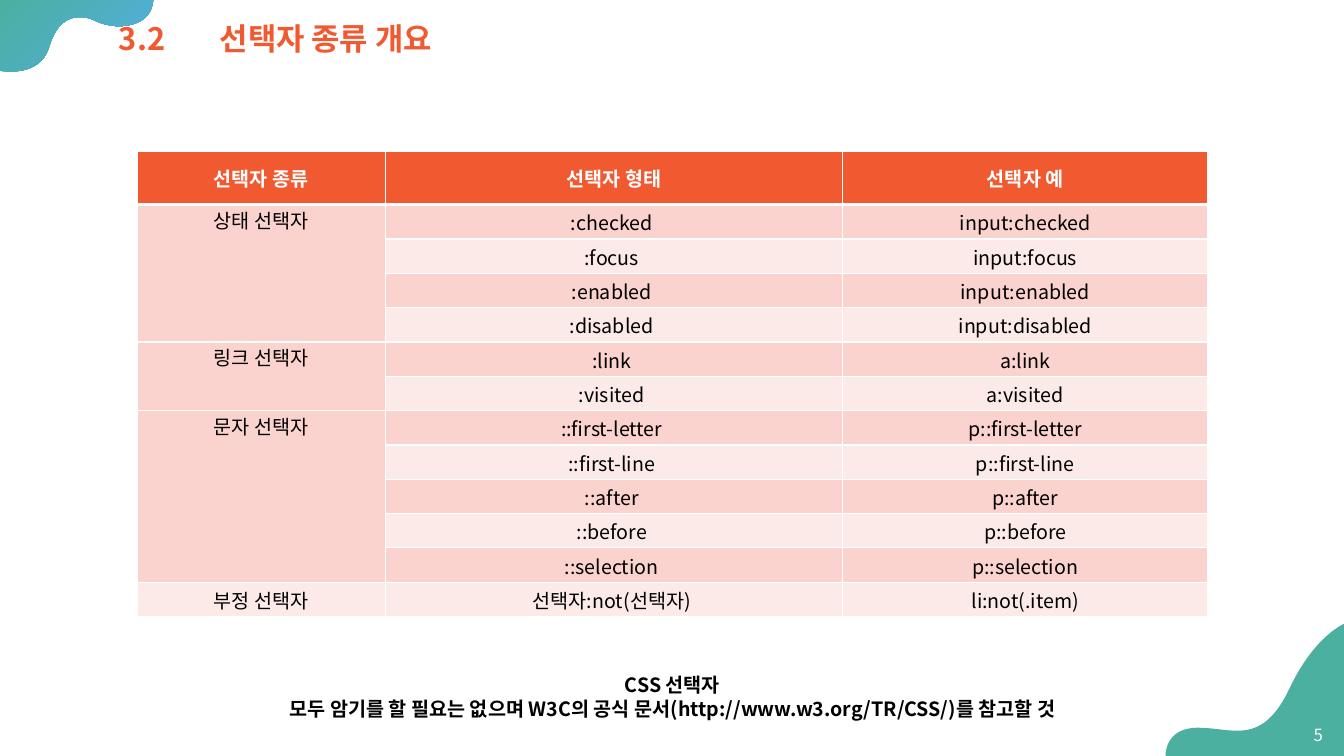
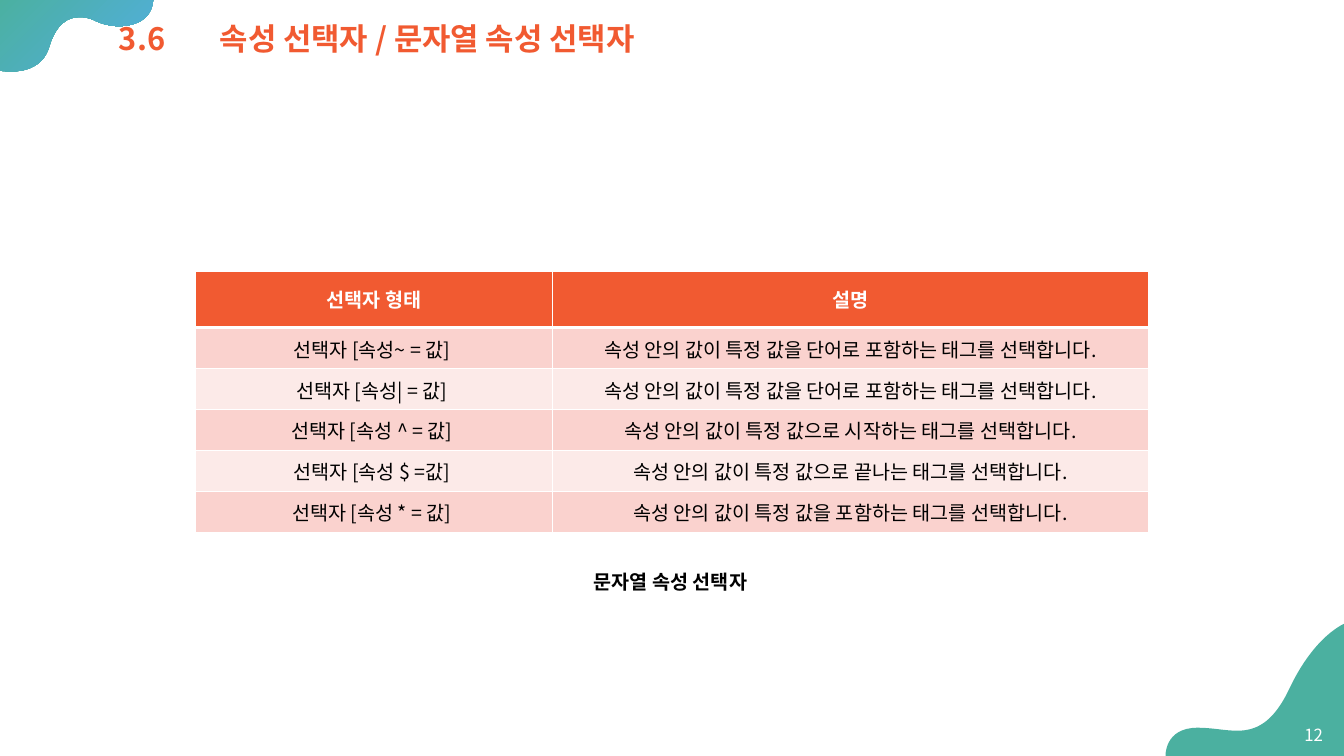
from lxml import etree
from pptx import Presentation
from pptx.dml.color import RGBColor
from pptx.enum.text import MSO_ANCHOR, MSO_AUTO_SIZE, PP_ALIGN
from pptx.oxml.ns import qn
from pptx.util import Inches, Pt

LEFT, CENTER, RIGHT = PP_ALIGN.LEFT, PP_ALIGN.CENTER, PP_ALIGN.RIGHT
TOP, MIDDLE = MSO_ANCHOR.TOP, MSO_ANCHOR.MIDDLE
NO_AUTOFIT = MSO_AUTO_SIZE.NONE

FONT = "Noto Sans CJK KR"
ORANGE, TEAL, BLUE = "F15A31", "4BB0A0", "52AEE1"
WHITE, BLACK = "FFFFFF", "000000"
BANDS = ("FAD2CE", "FCEAE8")
THIN, THICK = 1, 3

TITLE_BOX = (1.08, 0.19, 12.25, 0.43)
TITLE_TAB = 1
NUMBER_BOX = (12.78, 7.09, 0.44, 0.4)

# Each wave: start point, then line (2 numbers) or cubic curve (6 numbers) steps.
TOP_WAVE = [
    (1.52, -0.02), (-0.01, -0.02), (-0.01, 0.7),
    (-0.01, 0.7, 0.04, 0.71, 0.11, 0.71),
    (0.24, 0.71, 0.43, 0.67, 0.49, 0.46),
    (0.56, 0.23, 0.68, 0.17, 0.79, 0.17),
    (0.84, 0.17, 0.89, 0.18, 0.93, 0.2),
    (1.01, 0.24, 1.1, 0.26, 1.18, 0.26),
    (1.37, 0.26, 1.52, 0.17, 1.52, -0.02),
]
BOTTOM_WAVE = [
    (13.35, 6.18),
    (13.35, 6.18, 13.04, 6.29, 12.78, 6.85),
    (12.62, 7.18, 12.45, 7.25, 12.27, 7.25),
    (12.15, 7.25, 12.02, 7.22, 11.88, 7.22),
    (11.54, 7.22, 11.56, 7.51, 11.56, 7.51),
    (13.35, 7.51), (13.35, 6.18),
]

# Table groups: a first cell and the rows of further cells that share it.
SLIDES = [
    {
        "title": "3.2\t선택자 종류 개요",
        "number": "5",
        "table_at": (1.36, 1.5),
        "columns": (2.46, 4.54, 3.62),
        "header_height": 0.53,
        "table_height": 4.62,
        "header": ("선택자 종류", "선택자 형태", "선택자 예"),
        "groups": [
            ("상태 선택자", [
                (":checked ", "input:checked"),
                (":focus ", "input:focus"),
                (":enabled ", "input:enabled"),
                (":disabled ", "input:disabled"),
            ]),
            ("링크 선택자", [
                (":link ", "a:link"),
                (":visited ", "a:visited"),
            ]),
            ("문자 선택자", [
                ("::first-letter ", "p::first-letter"),
                ("::first-line ", "p::first-line"),
                ("::after ", "p::after"),
                ("::before ", "p::before"),
                ("::selection ", "p::selection"),
            ]),
            ("부정 선택자", [("선택자:not(선택자) ", "li:not(.item)")]),
        ],
        "caption_at": (2.7, 6.63, 7.94, 0.57),
        "caption": [
            "CSS 선택자",
            "모두 암기를 할 필요는 없으며 W3C의 공식 문서"
            "(http://www.w3.org/TR/CSS/)를 참고할 것",
        ],
    },
    {
        "title": "3.6\t속성 선택자 / 문자열 속성 선택자",
        "number": "12",
        "table_at": (1.94, 2.69),
        "columns": (3.54, 5.91),
        "header_height": 0.56,
        "table_height": 2.59,
        "header": ("선택자 형태", "설명"),
        "groups": [
            ("선택자 [속성~ = 값] ",
             [("속성 안의 값이 특정 값을 단어로 포함하는 태그를 선택합니다.",)]),
            ("선택자 [속성| = 값] ",
             [("속성 안의 값이 특정 값을 단어로 포함하는 태그를 선택합니다.",)]),
            ("선택자 [속성 ^ = 값] ",
             [("속성 안의 값이 특정 값으로 시작하는 태그를 선택합니다.",)]),
            ("선택자 [속성 $ =값] ",
             [("속성 안의 값이 특정 값으로 끝나는 태그를 선택합니다.",)]),
            ("선택자 [속성 * = 값] ",
             [("속성 안의 값이 특정 값을 포함하는 태그를 선택합니다.",)]),
        ],
        "caption_at": (5.65, 5.61, 2, 0.34),
        "caption": ["문자열 속성 선택자"],
    },
]


def rgb(color):
    return RGBColor.from_string(color)


def inches(lengths):
    return [Inches(length) for length in lengths]


def add_child(parent, tag, **attributes):
    child = etree.SubElement(parent, qn(tag))
    for key, value in attributes.items():
        child.set(key, str(value))
    return child


def write(frame, lines, size=14, color=BLACK, bold=False, align=CENTER,
          spacing=None, tab=None):
    """Fill a text frame with one paragraph per line, in Latin and Korean type."""
    for index, line in enumerate(lines):
        paragraph = frame.add_paragraph() if index else frame.paragraphs[0]
        paragraph.alignment = align
        if spacing:
            paragraph.line_spacing = spacing
        if tab:
            tabs = add_child(paragraph._p.get_or_add_pPr(), "a:tabLst")
            add_child(tabs, "a:tab", pos=Inches(tab), algn="l")
        run = paragraph.add_run()
        run.text = line
        font = run.font
        font.name, font.size, font.bold = FONT, Pt(size), bold
        font.color.rgb = rgb(color)
        properties = run._r.get_or_add_rPr()
        properties.set("kern", "0")
        add_child(properties, "a:ea", typeface=FONT)


def add_text(slide, box, lines, anchor=TOP, **style):
    frame = slide.shapes.add_textbox(*inches(box)).text_frame
    frame.word_wrap = True
    frame.vertical_anchor = anchor
    write(frame, lines, **style)


def add_wave(slide, steps):
    """Draw straight steps between the end points, then bend the cubic ones."""
    start, *ends = [inches(step[-2:]) for step in steps]
    builder = slide.shapes.build_freeform(*start)
    builder.add_line_segments(ends, close=True)
    wave = builder.convert_to_shape()
    wave.shadow.inherit = False
    wave.line.fill.background()
    segments = list(wave._element.iter(qn("a:lnTo")))
    for segment, step in zip(segments, steps[1:]):
        if len(step) == 6:
            segment.tag = qn("a:cubicBezTo")
            segment.clear()
            for x, y in zip(inches(step[::2]), inches(step[1::2])):
                add_child(segment, "a:pt", x=x - wave.left, y=y - wave.top)
    return wave


def decorate_layout(layout, slide):
    """Draw the waves on a slide and move them to the layout all slides share."""
    top_wave = add_wave(slide, TOP_WAVE)
    top_wave.fill.gradient()
    top_wave.fill.gradient_angle = 315
    for stop, color in zip(top_wave.fill.gradient_stops, (TEAL, BLUE)):
        stop.color.rgb = rgb(color)
    bottom_wave = add_wave(slide, BOTTOM_WAVE)
    bottom_wave.fill.solid()
    bottom_wave.fill.fore_color.rgb = rgb(TEAL)
    for wave in (top_wave, bottom_wave):
        layout.shapes._spTree.append(wave._element)


def add_title(slide, title):
    placeholder = slide.shapes.title
    (placeholder.left, placeholder.top,
     placeholder.width, placeholder.height) = inches(TITLE_BOX)
    frame = placeholder.text_frame
    frame.auto_size = NO_AUTOFIT
    frame.vertical_anchor = MIDDLE
    write(frame, [title], size=22, color=ORANGE, bold=True, align=LEFT,
          spacing=0.9, tab=TITLE_TAB)


def add_borders(cell, top, bottom):
    sides = {"a:lnL": THIN, "a:lnR": THIN, "a:lnT": top, "a:lnB": bottom}
    for side, width in sides.items():
        line = add_child(cell._tc.get_or_add_tcPr(), side, w=Pt(width))
        add_child(add_child(line, "a:solidFill"), "a:srgbClr", val=WHITE)


def fill_cell(cell, text, fill, anchor=MIDDLE, top=THIN, bottom=THIN, **style):
    add_borders(cell, top, bottom)
    cell.fill.solid()
    cell.fill.fore_color.rgb = rgb(fill)
    cell.vertical_anchor = anchor
    write(cell.text_frame, [text], **style)


def fill_body_cell(cell, text, row, anchor=MIDDLE):
    cell.margin_left = cell.margin_right = cell.margin_top = Inches(0.01)
    cell.margin_bottom = 0
    fill_cell(cell, text, BANDS[(row - 1) % 2], anchor,
              top=THICK if row == 1 else THIN)


def add_selector_table(slide, content):
    columns, groups = content["columns"], content["groups"]
    header_height, height = content["header_height"], content["table_height"]
    body_rows = sum(len(rows) for _, rows in groups)
    row_height = (height - header_height) / body_rows
    box = content["table_at"] + (sum(columns), height)
    table = slide.shapes.add_table(body_rows + 1, len(columns), *inches(box)).table
    for column, width in zip(table.columns, columns):
        column.width = Inches(width)
    for index, row in enumerate(table.rows):
        row.height = Inches(row_height if index else header_height)

    for index, heading in enumerate(content["header"]):
        fill_cell(table.cell(0, index), heading, ORANGE, bottom=THICK,
                  color=WHITE, bold=True)
    first = 1
    for label, rows in groups:
        last = first + len(rows) - 1
        label_cell = table.cell(first, 0)
        if last > first:
            label_cell.merge(table.cell(last, 0))
        fill_body_cell(label_cell, label, first, TOP if last > first else MIDDLE)
        for row, texts in enumerate(rows, first):
            for column, text in enumerate(texts, 1):
                fill_body_cell(table.cell(row, column), text, row)
        first = last + 1


def main():
    deck = Presentation()
    deck.slide_width, deck.slide_height = inches((13.33, 7.5))
    layout = deck.slide_layouts[5]
    for index, content in enumerate(SLIDES):
        slide = deck.slides.add_slide(layout)
        if index == 0:
            decorate_layout(layout, slide)
        add_title(slide, content["title"])
        add_selector_table(slide, content)
        add_text(slide, content["caption_at"], content["caption"], bold=True)
        add_text(slide, NUMBER_BOX, [content["number"]], anchor=MIDDLE,
                 size=12, color=WHITE, align=RIGHT)
    deck.save("out.pptx")


if __name__ == "__main__":
    main()
